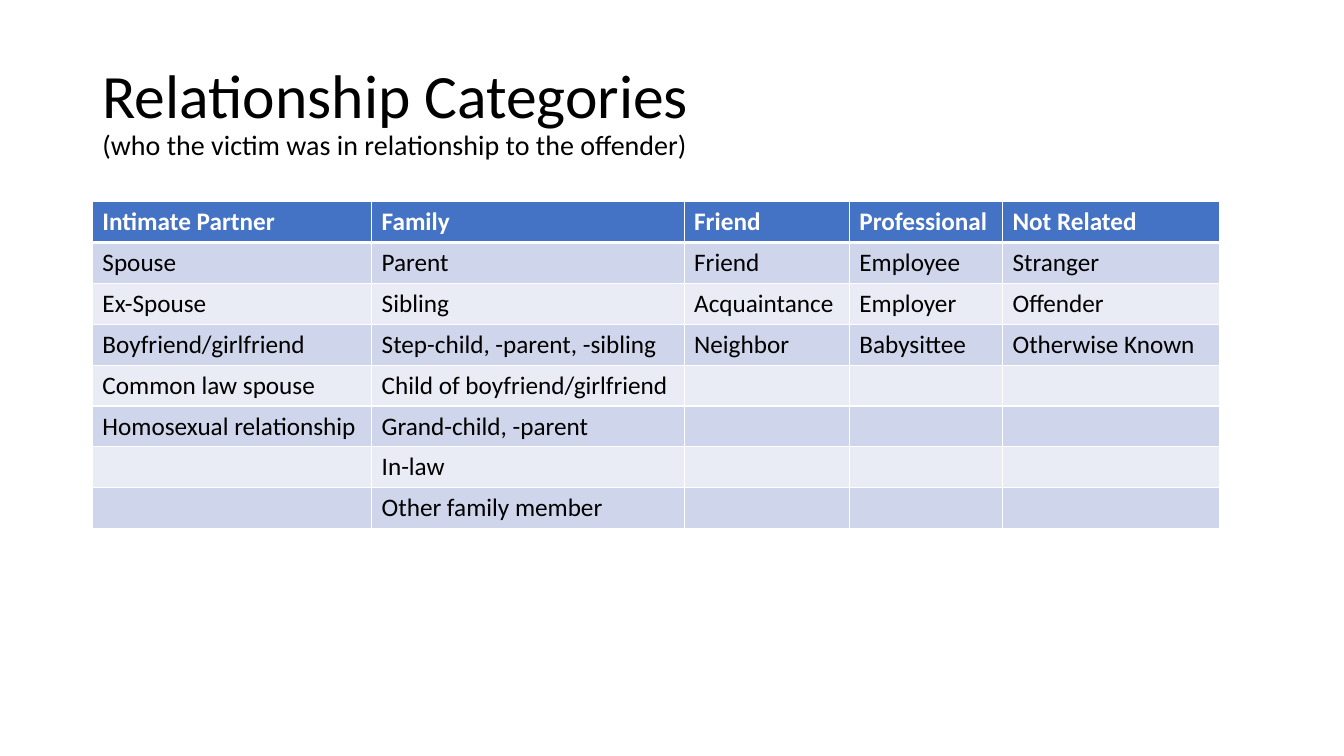
from dataclasses import dataclass

from lxml.etree import SubElement
from pptx import Presentation
from pptx.dml.color import RGBColor
from pptx.enum.text import MSO_ANCHOR, MSO_AUTO_SIZE, PP_ALIGN
from pptx.oxml.ns import qn
from pptx.util import Pt

FONT = "Calibri"
COLORS = {
    "text": "000000",
    "white": "FFFFFF",
    "header": "4472C4",
    "odd": "CFD5EA",
    "even": "E9EBF5",
}
ROW_COUNT = 8
ROW_HEIGHT = 29.2


@dataclass(frozen=True)
class Category:
    heading: str
    width: float
    members: tuple[str, ...]


CATEGORIES = [
    Category("Intimate Partner", 199.5, (
        "Spouse", "Ex-Spouse", "Boyfriend/girlfriend", "Common law spouse",
        "Homosexual relationship")),
    Category("Family", 223.2, (
        "Parent", "Sibling", "Step-child, -parent, -sibling",
        "Child of boyfriend/girlfriend", "Grand-child, -parent", "In-law",
        "Other family member")),
    Category("Friend", 118, ("Friend", "Acquaintance", "Neighbor")),
    Category("Professional", 109.5, ("Employee", "Employer", "Babysittee")),
    Category("Not Related", 154.8, ("Stranger", "Offender", "Otherwise Known")),
]


def add_run(p, text: str, size: float, color: str, bold: bool = False) -> None:
    r = p.add_run()
    r.text = text
    r.font.name = FONT
    r.font.size = Pt(size)
    r.font.bold = bold
    r.font.color.rgb = RGBColor.from_string(COLORS[color])


def add_border(cell, side: str, width: float) -> None:
    ln = SubElement(cell._tc.get_or_add_tcPr(), qn(f"a:ln{side}"), w=str(Pt(width)))
    fill = SubElement(ln, qn("a:solidFill"))
    SubElement(fill, qn("a:srgbClr"), val=COLORS["white"])


def format_cell(cell, text: str, row: int) -> None:
    is_header = row == 0
    widths = {"L": 1, "R": 1, "T": 3 if row == 1 else 1, "B": 3 if is_header else 1}
    for side, width in widths.items():
        add_border(cell, side, width)
    shade = "header" if is_header else "odd" if row % 2 else "even"
    cell.fill.solid()
    cell.fill.fore_color.rgb = RGBColor.from_string(COLORS[shade])
    if text:
        color = "white" if is_header else "text"
        add_run(cell.text_frame.paragraphs[0], text, 18, color, is_header)


def add_title(s) -> None:
    sp = s.shapes.title
    sp.left, sp.top, sp.width, sp.height = Pt(66), Pt(28.75), Pt(828), Pt(104.4)
    tf = sp.text_frame
    tf.word_wrap = True
    tf.auto_size = MSO_AUTO_SIZE.NONE
    tf.vertical_anchor = MSO_ANCHOR.MIDDLE
    p = tf.paragraphs[0]
    p.alignment = PP_ALIGN.LEFT
    p.line_spacing = 0.9
    add_run(p, "Relationship Categories", 44, "text")
    p.add_line_break()
    add_run(p, "(who the victim was in relationship to the offender)", 20, "text")


def add_category_table(s) -> None:
    width = sum(category.width for category in CATEGORIES)
    table = s.shapes.add_table(
        ROW_COUNT, len(CATEGORIES), Pt(66), Pt(144), Pt(width),
        Pt(ROW_COUNT * ROW_HEIGHT)).table
    for row in table.rows:
        row.height = Pt(ROW_HEIGHT)
    for col, category in enumerate(CATEGORIES):
        table.columns[col].width = Pt(category.width)
        texts = (category.heading, *category.members)
        for row in range(ROW_COUNT):
            text = texts[row] if row < len(texts) else ""
            format_cell(table.cell(row, col), text, row)


def main() -> None:
    prs = Presentation()
    prs.slide_width, prs.slide_height = Pt(960), Pt(540)
    s = prs.slides.add_slide(prs.slide_layouts[5])
    add_title(s)
    add_category_table(s)
    prs.save("out.pptx")


if __name__ == "__main__":
    main()
